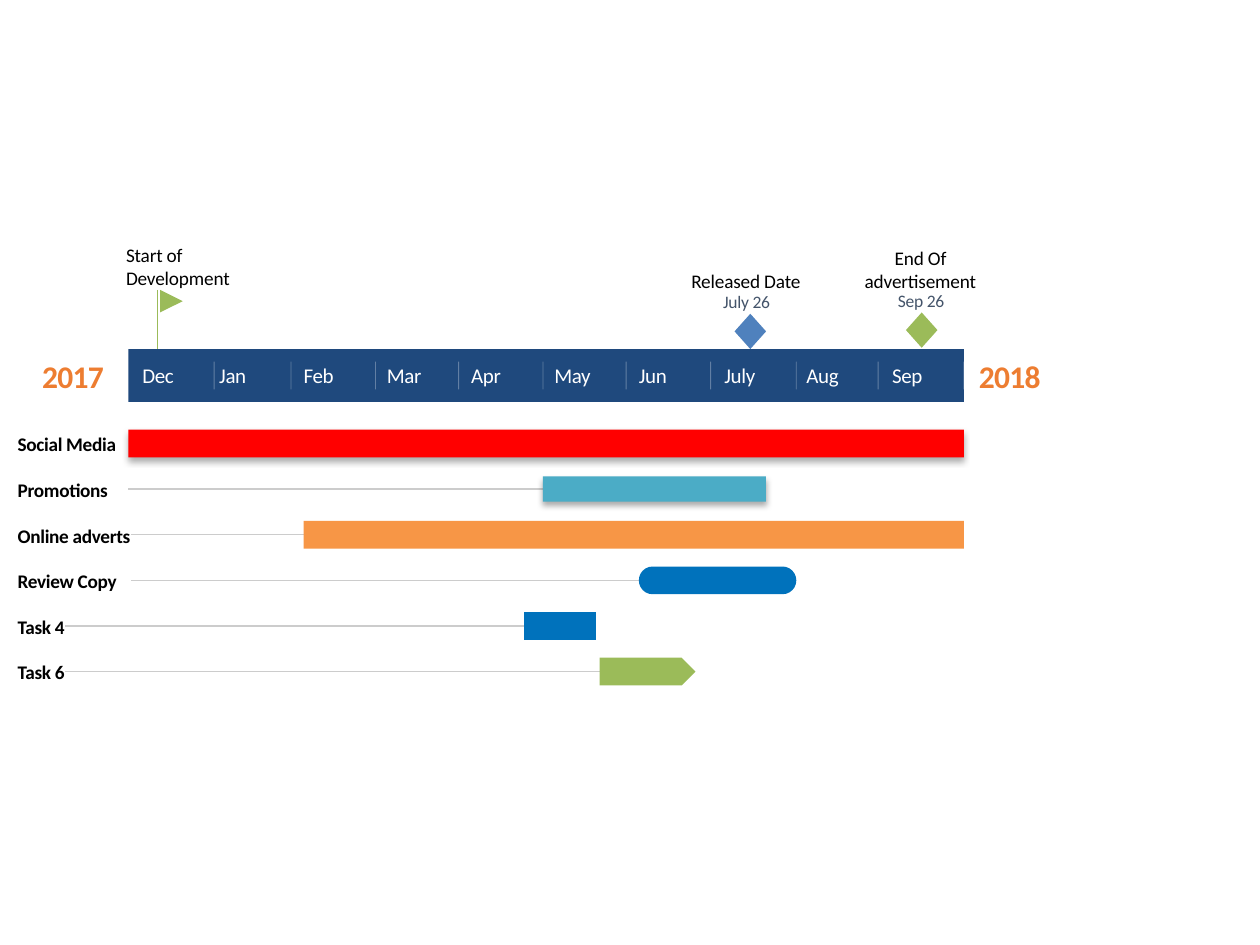
from dataclasses import dataclass
from typing import Optional

import lxml.etree
import pptx
import pptx.dml.color
import pptx.enum.shapes
import pptx.enum.text
import pptx.oxml.ns
import pptx.util

MSO = pptx.enum.shapes.MSO_SHAPE
ALIGN = pptx.enum.text.PP_ALIGN
LEFT, CENTER = ALIGN.LEFT, ALIGN.CENTER
inch = pptx.util.Inches
qn = pptx.oxml.ns.qn


@dataclass(frozen=True)
class Theme:
    font: str = "Calibri"
    navy: str = "1F497D"
    blue: str = "4F81BD"
    task_blue: str = "0072BC"
    teal: str = "4BACC6"
    green: str = "9BBB59"
    orange: str = "F79646"
    red: str = "FF0000"
    year: str = "ED7D31"
    slate: str = "44546A"
    grey: str = "CCCCCC"
    black: str = "000000"
    white: str = "FFFFFF"
    year_size: int = 18
    month_size: int = 12
    label_size: int = 11
    date_size: int = 10


T = Theme()


@dataclass(frozen=True)
class Box:
    left: float
    top: float
    width: float
    height: float


@dataclass(frozen=True)
class Style:
    size: int
    color: str
    spacing: int
    bold: bool = False
    align: ALIGN = LEFT


@dataclass(frozen=True)
class Task:
    name: str
    start: float
    end: float
    color: str
    kind: MSO = MSO.RECTANGLE
    height: float = 0.22
    shadow: bool = False
    leader: Optional[float] = None  # left end of the line to the bar


@dataclass(frozen=True)
class Milestone:
    name: str
    name_box: Box
    date: str
    date_box: Box
    marker: Box
    color: str
    wrap: bool = False


YEAR = Style(T.year_size, T.year, -40, True, CENTER)
MONTH = Style(T.month_size, T.white, -20)
TASK = Style(T.label_size, T.black, -20, True)
EVENT = Style(T.label_size, T.black, -10, align=CENTER)
FLAG = Style(T.label_size, T.black, -10)
DATE = Style(T.date_size, T.slate, -10, align=CENTER)

BAND = Box(1.02, 2.77, 6.63, 0.42)
BAND_END = BAND.left + BAND.width
MONTHS = {"Dec": 1.13, "Jan": 1.74, "Feb": 2.41, "Mar": 3.07, "Apr": 3.74,
          "May": 4.4, "Jun": 5.07, "July": 5.75, "Aug": 6.4, "Sep": 7.08}
TICK_OFFSET = 0.57  # from a month name to the tick that ends it
LABEL_LEFT = 0.14
FIRST_ROW, LAST_ROW = 3.52, 5.33  # row centres

TASKS = [
    Task("Social Media", BAND.left, BAND_END, T.red, shadow=True),
    Task("Promotions", 4.31, 6.08, T.teal, height=0.2, shadow=True, leader=1.02),
    Task("Online adverts", 2.41, BAND_END, T.orange, leader=1.04),
    Task("Review Copy", 5.07, 6.32, T.task_blue, MSO.ROUNDED_RECTANGLE, leader=1.04),
    Task("Task 4", 4.16, 4.73, T.task_blue, leader=0.52),
    Task("Task 6", 4.76, 5.52, T.green, MSO.PENTAGON, leader=0.52),
]
MILESTONES = [
    Milestone("Released Date", Box(5.48, 2.13, 0.88, 0.19),
              "July 26", Box(5.57, 2.31, 0.71, 0.17),
              Box(5.83, 2.49, 0.25, 0.28), T.blue),
    Milestone("End Of advertisement", Box(6.76, 1.95, 1.09, 0.37),
              "Sep 26", Box(6.97, 2.3, 0.68, 0.17),
              Box(7.19, 2.48, 0.25, 0.28), T.green, wrap=True),
]

prs = pptx.Presentation()
prs.slide_width, prs.slide_height = inch(10), inch(7.5)
s = prs.slides.add_slide(prs.slide_layouts[6])


def rgb(color: str) -> pptx.dml.color.RGBColor:
    return pptx.dml.color.RGBColor.from_string(color)


def place(box: Box) -> list:
    return [inch(v) for v in (box.left, box.top, box.width, box.height)]


def child(parent, tag: str, **attrs: str):
    return lxml.etree.SubElement(parent, qn(tag), attrs)


def add_text(text: str, box: Box, style: Style, wrap: bool = False) -> None:
    tf = s.shapes.add_textbox(*place(box)).text_frame
    tf.word_wrap = wrap
    tf.vertical_anchor = pptx.enum.text.MSO_ANCHOR.MIDDLE
    tf.margin_left = tf.margin_right = tf.margin_top = tf.margin_bottom = 0
    p = tf.paragraphs[0]
    p.alignment = style.align
    r = p.add_run()
    r.text = text
    r.font.name, r.font.size = T.font, pptx.util.Pt(style.size)
    r.font.bold = style.bold
    r.font.color.rgb = rgb(style.color)
    r.font._element.set("spc", str(style.spacing))


def add_line(x1: float, y1: float, x2: float, y2: float, color: str,
             width: float = 0.75, opacity: Optional[int] = None) -> None:
    ln = s.shapes.add_connector(pptx.enum.shapes.MSO_CONNECTOR.STRAIGHT,
                                inch(x1), inch(y1), inch(x2), inch(y2))
    ln.line.color.rgb = rgb(color)
    ln.line.width = pptx.util.Pt(width)
    sp_pr = ln._element.spPr
    if opacity is not None:
        child(next(sp_pr.iter(qn("a:srgbClr"))), "a:alpha", val=str(opacity * 1000))
    child(sp_pr, "a:effectLst")


def add_shape(kind: MSO, box: Box, color: str, shadow: bool = False):
    sp = s.shapes.add_shape(kind, *place(box))
    sp.fill.solid()
    sp.fill.fore_color.rgb = rgb(color)
    sp.line.fill.background()
    sp.shadow.inherit = False
    if shadow:
        effects = sp._element.spPr.find(qn("a:effectLst"))
        outer = child(effects, "a:outerShdw", blurRad=str(pptx.util.Pt(3.5)),
                      dist=str(pptx.util.Pt(2.2)), dir="5400000", rotWithShape="0")
        child(child(outer, "a:srgbClr", val=T.black), "a:alpha", val="32000")
    return sp


def add_task(task: Task, y: float) -> None:
    if task.leader is not None:
        add_line(task.leader, y, task.start, y, T.grey)
    bar = Box(task.start, y - task.height / 2, task.end - task.start, task.height)
    sp = add_shape(task.kind, bar, task.color, task.shadow)
    if task.kind == MSO.ROUNDED_RECTANGLE:
        sp.adjustments[0] = 0.5
    add_text(task.name, Box(LABEL_LEFT, y - 0.09, 0.92, 0.19), TASK)


def add_milestone(m: Milestone) -> None:
    add_text(m.name, m.name_box, EVENT, m.wrap)
    add_text(m.date, m.date_box, DATE)
    add_shape(MSO.DIAMOND, m.marker, m.color)


# Time band with months and years
add_text("2017", Box(0.14, 2.83, 0.88, 0.31), YEAR)
add_text("2018", Box(BAND_END, 2.83, 0.73, 0.3), YEAR)
add_shape(MSO.RECTANGLE, BAND, T.navy)
for month, x in MONTHS.items():
    tick = x + TICK_OFFSET
    add_line(tick, 2.87, tick, 3.09, T.white, 0.5, opacity=30)
    add_text(month, Box(x, 2.88, 0.4, 0.2), MONTH)

# Start flag
add_line(1.25, 2.3, 1.25, BAND.top, T.green)
add_text("Start of Development", Box(1, 1.93, 0.88, 0.37), FLAG, wrap=True)
add_shape(MSO.FLOWCHART_MERGE, Box(1.27, 2.3, 0.18, 0.18), T.green).rotation = 270

# Milestones
for milestone in MILESTONES:
    add_milestone(milestone)

# Task rows
pitch = (LAST_ROW - FIRST_ROW) / (len(TASKS) - 1)
for i, task in enumerate(TASKS):
    add_task(task, FIRST_ROW + i * pitch)

prs.save("out.pptx")
